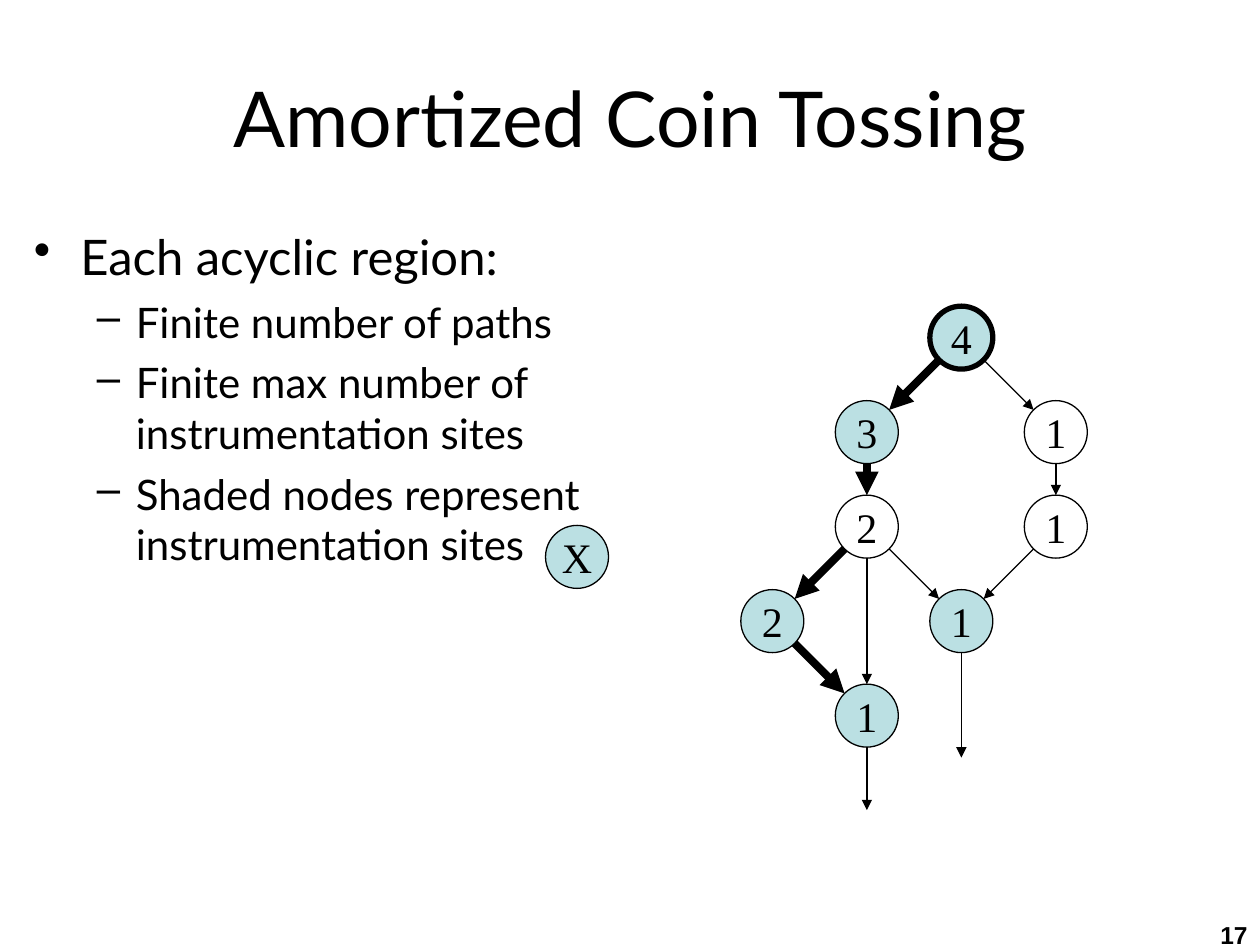
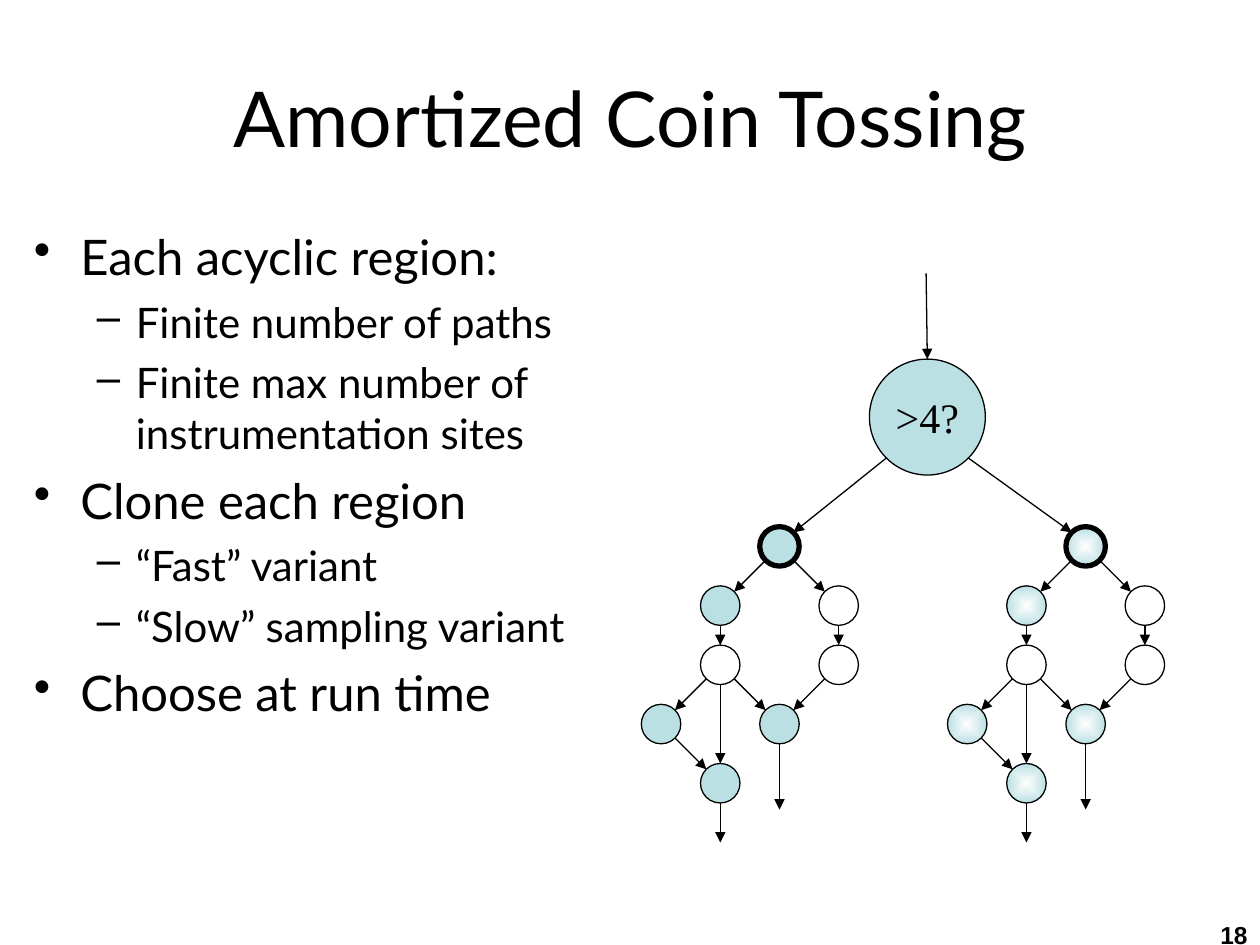
from collections import namedtuple
from dataclasses import dataclass
from math import hypot

from lxml.etree import SubElement as Sub
from pptx import Presentation
from pptx.dml.color import RGBColor as Rgb
from pptx.enum.shapes import MSO_CONNECTOR as Wire, MSO_SHAPE as Form
from pptx.enum.text import MSO_ANCHOR as Anchor, PP_ALIGN as Align
from pptx.oxml.ns import qn
from pptx.util import Inches, Pt


@dataclass(frozen=True)
class Theme:
    """Colours, fonts, type sizes and line widths of the deck."""
    ink: Rgb = Rgb(0, 0, 0)
    paper: Rgb = Rgb(255, 255, 255)
    shade: Rgb = Rgb(0xBB, 0xE0, 0xE3)
    glow: Rgb = Rgb(0xFE, 0xFE, 0xFE)
    sans: str = "Lato"
    serif: str = "Times New Roman"
    foot: str = "Arial"
    title: float = 44
    label: float = 24
    page: float = 14
    thin: float = 0.75
    ring: float = 3
    heavy: float = 4.5


Box = namedtuple("Box", "left top width height")
Ball = namedtuple("Ball", "x y size")
Node = namedtuple("Node", "col row label site")
Level = namedtuple("Level", "size mark margin indent before")

LOOK = Theme()
TITLE = Box(0.17, 0.3, 9.67, 1.25)
BODY = Box(0.17, 1.75, 4.74, 5.58)
PAGE = Box(7.83, 7.25, 2.17, 0.34)
LEVELS = (Level(28, "•", 0.37, -0.37, 7), Level(24, "–", 0.81, -0.31, 6))

NODES = {
    "root": Node(2, 0, "4", True),
    "left": Node(1, 1, "3", True),
    "right": Node(3, 1, "1", False),
    "fork": Node(1, 2, "2", False),
    "side": Node(3, 2, "1", False),
    "turn": Node(0, 3, "2", True),
    "join": Node(2, 3, "1", True),
    "last": Node(1, 4, "1", True),
}
EDGES = (("root", "right"), ("fork", "last"), ("fork", "join"),
         ("right", "side"), ("side", "join"))
LONGEST = (("turn", "last"), ("fork", "turn"), ("left", "fork"),
           ("root", "left"))
EXITS = {"last": 1, "join": 5 / 3}

REGION = ((0, "Each acyclic region:"), (1, "Finite number of paths"),
          (1, "Finite max number of instrumentation sites"))
SHADED = REGION + ((1, "Shaded nodes represent instrumentation sites"),)
CLONED = REGION + ((0, "Clone each region"), (1, "“Fast” variant"),
                   (1, "“Slow” sampling variant"), (0, "Choose at run time"))


def style(para, size, face, bold=False):
    """Set the font of every run in a paragraph."""
    for run in para.runs:
        font = run.font
        font.size, font.name, font.bold = Pt(size), face, bold
        font.color.rgb = LOOK.ink


def add_box(slide, box):
    """Add a wrapping text box and return its frame."""
    frame = slide.shapes.add_textbox(*map(Inches, box)).text_frame
    frame.word_wrap = True
    return frame


def add_line(slide, box, text, size, face, align, bold=False):
    """Add a text box with a single paragraph."""
    frame = add_box(slide, box)
    frame.text = text
    frame.vertical_anchor = Anchor.MIDDLE if box is TITLE else Anchor.TOP
    para = frame.paragraphs[0]
    para.alignment = align
    style(para, size, face, bold)


def add_list(slide, box, items):
    """Add the two-level bulleted list."""
    frame = add_box(slide, box)
    for at, (depth, text) in enumerate(items):
        para = frame.add_paragraph() if at else frame.paragraphs[0]
        level = LEVELS[depth]
        para.text, para.level = text, depth
        props = para._p.get_or_add_pPr()
        props.set("marL", str(Inches(level.margin)))
        props.set("indent", str(Inches(level.indent)))
        Sub(props, qn("a:buChar"), {"char": level.mark})
        para.space_before = Pt(level.before if at else 0)
        style(para, level.size, LOOK.sans)


def add_glow(shape):
    """Fill a shape with a gradient that is lightest at its centre."""
    shape.fill.gradient()
    for stop, tone in zip(shape.fill.gradient_stops, (LOOK.glow, LOOK.shade)):
        stop.color.rgb = tone
    grad = shape._element.spPr.find(qn("a:gradFill"))
    grad.remove(grad.find(qn("a:lin")))
    ramp = Sub(grad, qn("a:path"), {"path": "rect"})
    Sub(ramp, qn("a:fillToRect"), dict.fromkeys("ltrb", "50000"))


def add_ball(shapes, ball, label="", site=True, glow=False, width=LOOK.thin):
    """Draw one round node, shaded if it is an instrumentation site."""
    shape = shapes.add_shape(
        Form.FLOWCHART_CONNECTOR, Inches(ball.x), Inches(ball.y),
        Inches(ball.size), Inches(ball.size))
    shape.shadow.inherit = False
    if site and glow:
        add_glow(shape)
    else:
        shape.fill.solid()
        shape.fill.fore_color.rgb = LOOK.shade if site else LOOK.paper
    shape.line.color.rgb, shape.line.width = LOOK.ink, Pt(width)
    if label:
        frame = shape.text_frame
        frame.text, frame.word_wrap = label, False
        frame.vertical_anchor = Anchor.MIDDLE
        frame.paragraphs[0].alignment = Align.CENTER
        style(frame.paragraphs[0], LOOK.label, LOOK.serif)


def add_arrow(shapes, start, end, width=LOOK.thin):
    """Draw a straight arrow between two points."""
    wire = shapes.add_connector(Wire.STRAIGHT, *map(Inches, (*start, *end)))
    wire.line.color.rgb, wire.line.width = LOOK.ink, Pt(width)
    Sub(wire.line._get_or_add_ln(), qn("a:tailEnd"), {"type": "triangle"})
    Sub(wire._element.spPr, qn("a:effectLst"))


def rim(ball, across, down):
    """Return the point on a node's rim in a given direction."""
    half = ball.size / 2
    reach = half / hypot(across, down)
    return ball.x + half + across * reach, ball.y + half + down * reach


def link(shapes, high, low, width=LOOK.thin):
    """Draw an arrow from a node down to another."""
    side = (low.x > high.x) - (low.x < high.x)
    add_arrow(shapes, rim(high, side, 1), rim(low, -side, -1), width)


def add_graph(shapes, left, top, step, detail=False, glow=False):
    """Draw the acyclic region on a square grid and return its root."""
    size = step / 1.5
    balls = {name: Ball(left + node.col * step, top + node.row * step, size)
             for name, node in NODES.items()}
    for name, node in NODES.items():
        add_ball(shapes, balls[name], node.label if detail else "", node.site,
                 glow, LOOK.ring if name == "root" else LOOK.thin)
    for name, length in EXITS.items():
        x, y = rim(balls[name], 0, 1)
        add_arrow(shapes, (x, y), (x, y + length * size))
    for high, low in EDGES:
        link(shapes, balls[high], balls[low])
    for high, low in LONGEST:
        link(shapes, balls[high], balls[low],
             LOOK.heavy if detail else LOOK.thin)
    return balls["root"]


def add_choice(shapes, left, top):
    """Draw the threshold test that picks one of two cloned regions."""
    fast = add_graph(shapes.add_group_shape().shapes, left, top + 2.01, 0.47)
    slow = add_graph(shapes.add_group_shape().shapes, left + 2.43, top + 2.01,
                     0.47, glow=True)
    group = shapes.add_group_shape().shapes
    test = Ball(left + 1.81, top + 0.68, 0.92)
    add_ball(group, test, ">4?")
    link(group, test, fast)
    link(group, test, slow)
    add_arrow(group, (left + 2.26, top), rim(test, 0, -1))


def add_page(deck, number, items):
    """Add a slide with its title, list and page number."""
    slide = deck.slides.add_slide(deck.slide_layouts[6])
    add_line(slide, TITLE, "Amortized Coin Tossing", LOOK.title, LOOK.sans,
             Align.CENTER)
    add_list(slide, BODY, items)
    add_line(slide, PAGE, str(number), LOOK.page, LOOK.foot, Align.RIGHT, True)
    return slide.shapes


def main():
    """Build and save the deck."""
    deck = Presentation()
    deck.slide_width, deck.slide_height = Inches(10), Inches(7.5)
    shapes = add_page(deck, 17, SHADED)
    add_graph(shapes, 5.88, 2.43, 0.75, detail=True)
    add_ball(shapes, Ball(4.33, 4.17, 0.5), "X")
    add_choice(add_page(deck, 18, CLONED), 5.09, 2.17)
    deck.save("out.pptx")


if __name__ == "__main__":
    main()
